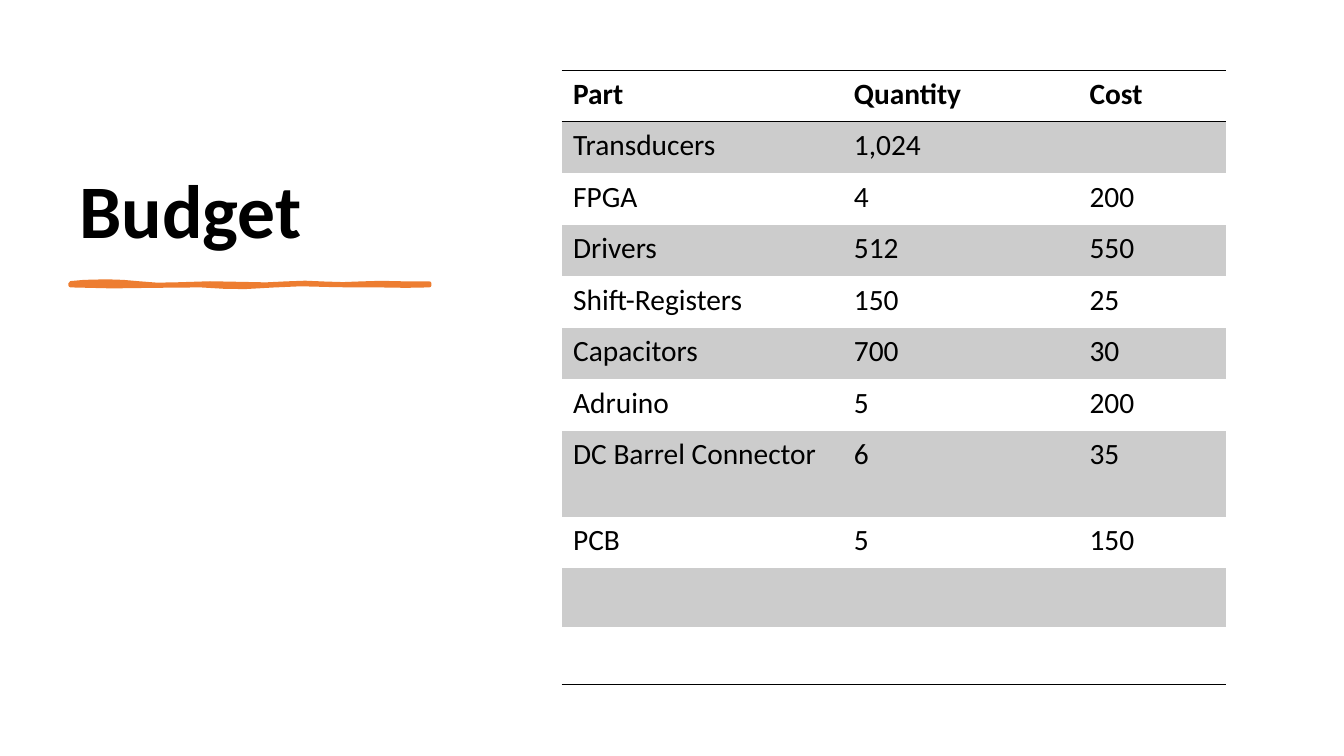
from dataclasses import dataclass

from lxml import etree
from pptx import Presentation
from pptx.dml.color import RGBColor
from pptx.enum.text import MSO_ANCHOR
from pptx.oxml.ns import qn
from pptx.slide import Slide
from pptx.table import _Cell
from pptx.util import Pt

ANCHOR_BOTTOM = MSO_ANCHOR.BOTTOM
NO_STYLE_ID = "{2D5ABB26-0587-4C30-8999-92F81FD0307C}"


@dataclass(frozen=True)
class Theme:
    font: str = "Calibri"
    text: RGBColor = RGBColor(0x00, 0x00, 0x00)
    accent: RGBColor = RGBColor(0xED, 0x7D, 0x31)
    band: RGBColor = RGBColor(0xCC, 0xCC, 0xCC)
    title_size: float = 54
    table_size: float = 21
    rule_width: float = 1
    brush_width: float = 3


@dataclass(frozen=True)
class BudgetRow:
    item: str = ""
    quantity: str = ""
    cost: str = ""
    height: float = 36.8


THEME = Theme()
COLUMN_WIDTHS = (200.6, 168.3, 105.6)
BUDGET_ROWS = (
    BudgetRow("Part", "Quantity", "Cost"),
    BudgetRow("Transducers", "1,024"),
    BudgetRow("FPGA", "4", "200"),
    BudgetRow("Drivers", "512", "550"),
    BudgetRow("Shift-Registers", "150", "25"),
    BudgetRow("Capacitors", "700", "30"),
    BudgetRow("Adruino", "5", "200"),
    BudgetRow("DC Barrel Connector", "6", "35", height=61.5),
    BudgetRow("PCB", "5", "150"),
    BudgetRow(height=41.6),
    BudgetRow(height=41.6),
)
BRUSH_UPPER_EDGE = (
    (50.4, 202.3), (60, 201.4), (76, 201), (88, 201.4), (99.4, 202.4),
    (112, 203.4), (125, 203.2), (150, 202.4), (175, 202.9), (190, 203.2),
    (204.5, 202.5), (218, 202), (232, 202.6), (245, 203), (258.5, 202.5),
    (272, 202.1), (290, 202.5), (306.7, 202.5),
)
BRUSH_LOWER_EDGE = (
    (306.7, 203.8), (290, 204.1), (270, 203.8), (250.6, 203.8), (235, 203.5),
    (215, 203), (194.4, 203.9), (175, 205), (160, 204.8), (143.3, 203.8),
    (110, 204.1), (80, 204.5), (50.4, 203.8),
)


def add_title(slide: Slide, text: str) -> None:
    """Add the bottom-anchored slide title."""
    shape = slide.shapes.add_textbox(Pt(49.7), Pt(50.4), Pt(270), Pt(135.4))
    shape.text_frame.word_wrap = True
    shape.text_frame.vertical_anchor = ANCHOR_BOTTOM
    paragraph = shape.text_frame.paragraphs[0]
    paragraph.text = text
    paragraph.line_spacing = 0.9
    paragraph.font.name = THEME.font
    paragraph.font.size = Pt(THEME.title_size)
    paragraph.font.bold = True
    paragraph.font.color.rgb = THEME.text


def add_brush_stroke(slide: Slide) -> None:
    """Add the wavy stroke below the title."""
    start, *others = [(Pt(x), Pt(y)) for x, y in BRUSH_UPPER_EDGE + BRUSH_LOWER_EDGE]
    builder = slide.shapes.build_freeform(*start)
    builder.add_line_segments(others, close=True)
    shape = builder.convert_to_shape()
    shape.shadow.inherit = False
    shape.fill.solid()
    shape.fill.fore_color.rgb = THEME.accent
    shape.line.color.rgb = THEME.accent
    shape.line.width = Pt(THEME.brush_width)
    outline = shape.element.spPr.find(qn("a:ln"))
    etree.SubElement(outline, qn("a:round"))


def add_border(cell: _Cell, tag: str) -> None:
    """Draw one horizontal rule on a cell."""
    border = etree.Element(qn(tag), w=str(Pt(THEME.rule_width)))
    fill = etree.SubElement(border, qn("a:solidFill"))
    etree.SubElement(fill, qn("a:srgbClr"), val=str(THEME.text))
    cell._tc.get_or_add_tcPr().insert(0, border)


def fill_cell(cell: _Cell, text: str, bold: bool, banded: bool) -> None:
    """Set the text, margins and fill of a cell."""
    cell.margin_left = cell.margin_right = Pt(8.3)
    cell.margin_top = cell.margin_bottom = Pt(4.1)
    if banded:
        cell.fill.solid()
        cell.fill.fore_color.rgb = THEME.band
    else:
        cell.fill.background()
    paragraph = cell.text_frame.paragraphs[0]
    paragraph.text = text
    paragraph.font.name = THEME.font
    paragraph.font.size = Pt(THEME.table_size)
    paragraph.font.bold = bold
    paragraph.font.color.rgb = THEME.text


def add_budget_table(slide: Slide) -> None:
    """Add the banded budget table with its three rules."""
    height = sum(row.height for row in BUDGET_ROWS)
    frame = slide.shapes.add_table(
        len(BUDGET_ROWS), len(COLUMN_WIDTHS),
        Pt(401.1), Pt(50.2), Pt(sum(COLUMN_WIDTHS)), Pt(height),
    )
    table = frame.table
    table.first_row = table.horz_banding = False
    table._tbl.tblPr.find(qn("a:tableStyleId")).text = NO_STYLE_ID
    for column, width in zip(table.columns, COLUMN_WIDTHS):
        column.width = Pt(width)
    last = len(BUDGET_ROWS) - 1
    for index, row in enumerate(BUDGET_ROWS):
        table.rows[index].height = Pt(row.height)
        for cell, text in zip(table.rows[index].cells, (row.item, row.quantity, row.cost)):
            fill_cell(cell, text, bold=index == 0, banded=index % 2 == 1)
            if index in (0, last):
                add_border(cell, "a:lnB")
            if index == 0:
                add_border(cell, "a:lnT")


def main() -> None:
    """Build and save the budget slide."""
    presentation = Presentation()
    presentation.slide_width = Pt(960)
    presentation.slide_height = Pt(540)
    slide = presentation.slides.add_slide(presentation.slide_layouts[6])
    add_title(slide, "Budget")
    add_brush_stroke(slide)
    add_budget_table(slide)
    presentation.save("out.pptx")


if __name__ == "__main__":
    main()
